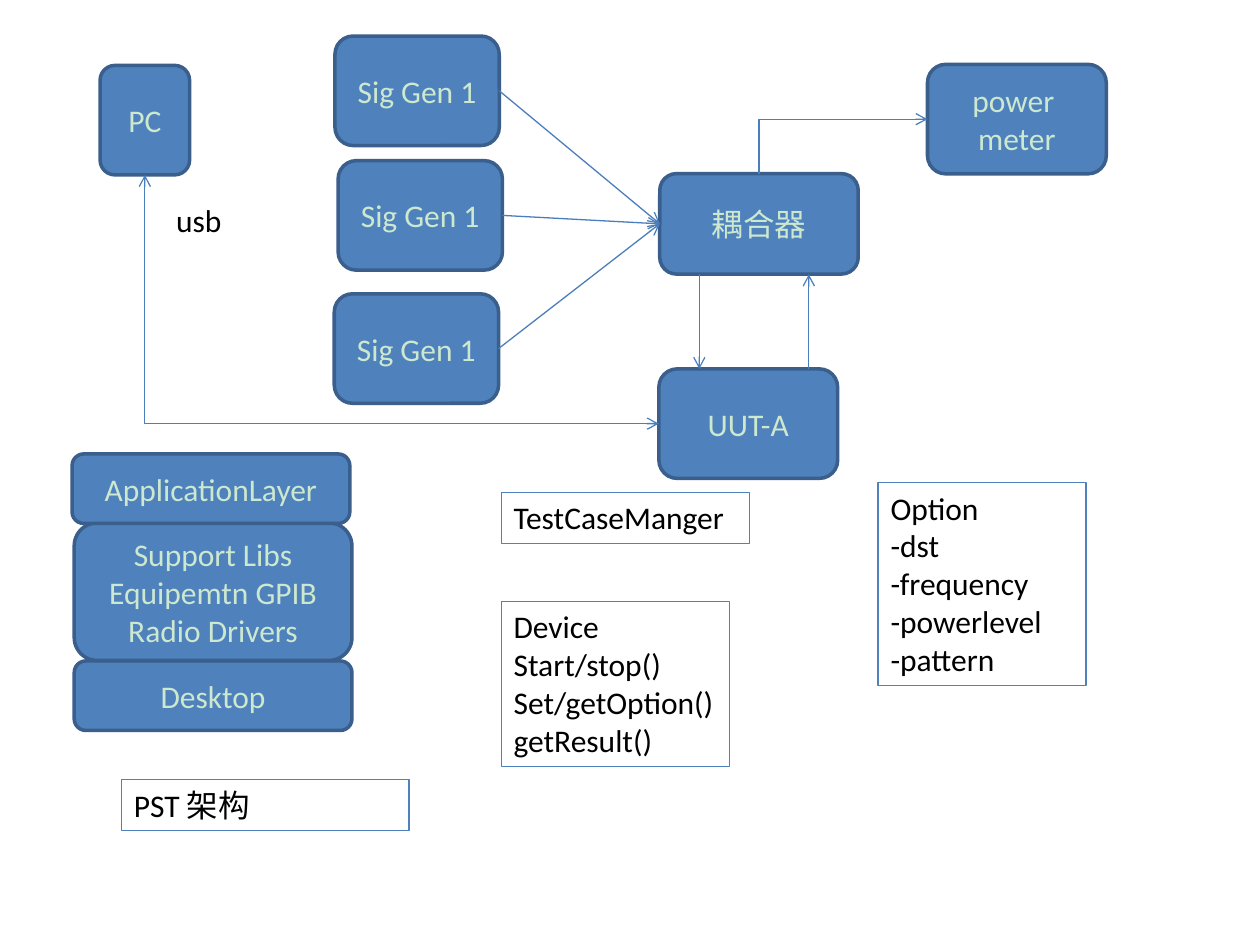
from lxml.etree import SubElement
from pptx import Presentation
from pptx.dml.color import RGBColor
from pptx.enum.shapes import MSO_CONNECTOR, MSO_SHAPE
from pptx.enum.text import MSO_ANCHOR, PP_ALIGN
from pptx.oxml.ns import qn
from pptx.util import Pt

BLUE, EDGE, WIRE = "4F81BD", "3A5F8C", "4B7EBC"
PALE, BLACK = "CCE8CF", "000000"
TOP, LEFT, BOTTOM, RIGHT = range(4)  # connection sites of a box

BOX_FRAME = {"vertical_anchor": MSO_ANCHOR.MIDDLE, "word_wrap": True}
NOTE_FRAME = {"vertical_anchor": MSO_ANCHOR.TOP, "word_wrap": True}


def color(value):
    return RGBColor.from_string(value)


def set_all(target, values):
    for name, value in values.items():
        setattr(target, name, value)


def write(shape, lines, ink, align, frame):
    set_all(shape.text_frame, frame)
    shape.text_frame.text = "\n".join(lines)
    for paragraph in shape.text_frame.paragraphs:
        paragraph.alignment = align
        for run in paragraph.runs:
            set_all(run.font, {"name": "Calibri", "size": Pt(18)})
            run.font.color.rgb = color(ink)


def outline(shape, edge, width):
    shape.shadow.inherit = False
    shape.line.color.rgb = color(edge)
    shape.line.width = Pt(width)


def add_box(slide, at, *lines):
    box = slide.shapes.add_shape(MSO_SHAPE.ROUNDED_RECTANGLE, *map(Pt, at))
    box.fill.solid()
    box.fill.fore_color.rgb = color(BLUE)
    outline(box, EDGE, 2)
    write(box, lines, PALE, PP_ALIGN.CENTER, BOX_FRAME)
    return box


def add_note(slide, at, *lines):
    note = slide.shapes.add_shape(MSO_SHAPE.RECTANGLE, *map(Pt, at))
    note.fill.background()
    outline(note, BLUE, 0.75)
    write(note, lines, BLACK, PP_ALIGN.LEFT, NOTE_FRAME)


def add_label(slide, at, text):
    label = slide.shapes.add_textbox(*map(Pt, at))
    write(label, [text], BLACK, PP_ALIGN.LEFT, NOTE_FRAME)


def add_arrow(slide, points=(0, 0, 0, 0), ends=("tailEnd",), bent=False):
    style = MSO_CONNECTOR.ELBOW if bent else MSO_CONNECTOR.STRAIGHT
    arrow = slide.shapes.add_connector(style, *map(Pt, points))
    arrow.line.color.rgb = color(WIRE)
    arrow.line.width = Pt(0.75)
    properties = arrow._element.spPr
    for end in ends:
        SubElement(properties.find(qn("a:ln")), qn("a:" + end), type="arrow")
    SubElement(properties, qn("a:effectLst"))
    if bent:  # a single corner
        properties.find(qn("a:prstGeom")).set("prst", "bentConnector2")
    return arrow


def link(slide, source, source_site, target, target_site, **options):
    arrow = add_arrow(slide, **options)
    arrow.begin_connect(source, source_site)
    arrow.end_connect(target, target_site)


def main():
    deck = Presentation()
    set_all(deck, {"slide_width": Pt(720), "slide_height": Pt(540)})
    slide = deck.slides.add_slide(deck.slide_layouts[6])

    # Test bench
    pc = add_box(slide, (57.2, 37.4, 51.2, 62.6), "PC")
    generators = [add_box(slide, (left, top, 93.9, 62.6), "Sig Gen 1")
                  for left, top in ((191.4, 20.6), (193.2, 91.8), (191, 167.9))]
    uut = add_box(slide, (376.5, 210.8, 102.2, 62.6), "UUT-A")
    meter = add_box(slide, (530, 36.8, 102.2, 62.6), "power ", "meter")
    coupler = add_box(slide, (377, 99.2, 113.4, 57.4), "耦合器")

    # Software stack
    add_box(slide, (42.4, 377.7, 158.7, 39.7), "Desktop")
    add_box(slide, (42.4, 298.8, 158.7, 78.6),
            "Support Libs", "Equipemtn GPIB", "Radio Drivers")
    add_box(slide, (41.2, 259.4, 158.7, 39.7), "ApplicationLayer")

    # Signal paths
    for generator in generators:
        link(slide, generator, RIGHT, coupler, LEFT)
    link(slide, meter, LEFT, coupler, TOP, ends=("headEnd",), bent=True)
    link(slide, uut, LEFT, pc, BOTTOM, ends=("headEnd", "tailEnd"), bent=True)
    add_arrow(slide, (399.6, 156.8, 399.6, 210.8))
    add_arrow(slide, (462.2, 210.8, 462.2, 156.8))

    # Classes and captions
    add_label(slide, (93.6, 111.2, 45.4, 29.1), "usb")
    add_note(slide, (69.5, 445.6, 164.3, 29.1), "PST 架构")
    add_note(slide, (286.4, 281.3, 141.8, 29.1), "TestCaseManger")
    add_note(slide, (286.4, 343.6, 130.3, 94.4),
             "Device", "Start/stop()", "Set/getOption()", "getResult()")
    add_note(slide, (501.8, 275.6, 118.8, 116.3),
             "Option", "-dst", "-frequency", "-powerlevel", "-pattern")

    deck.save("out.pptx")


main()
